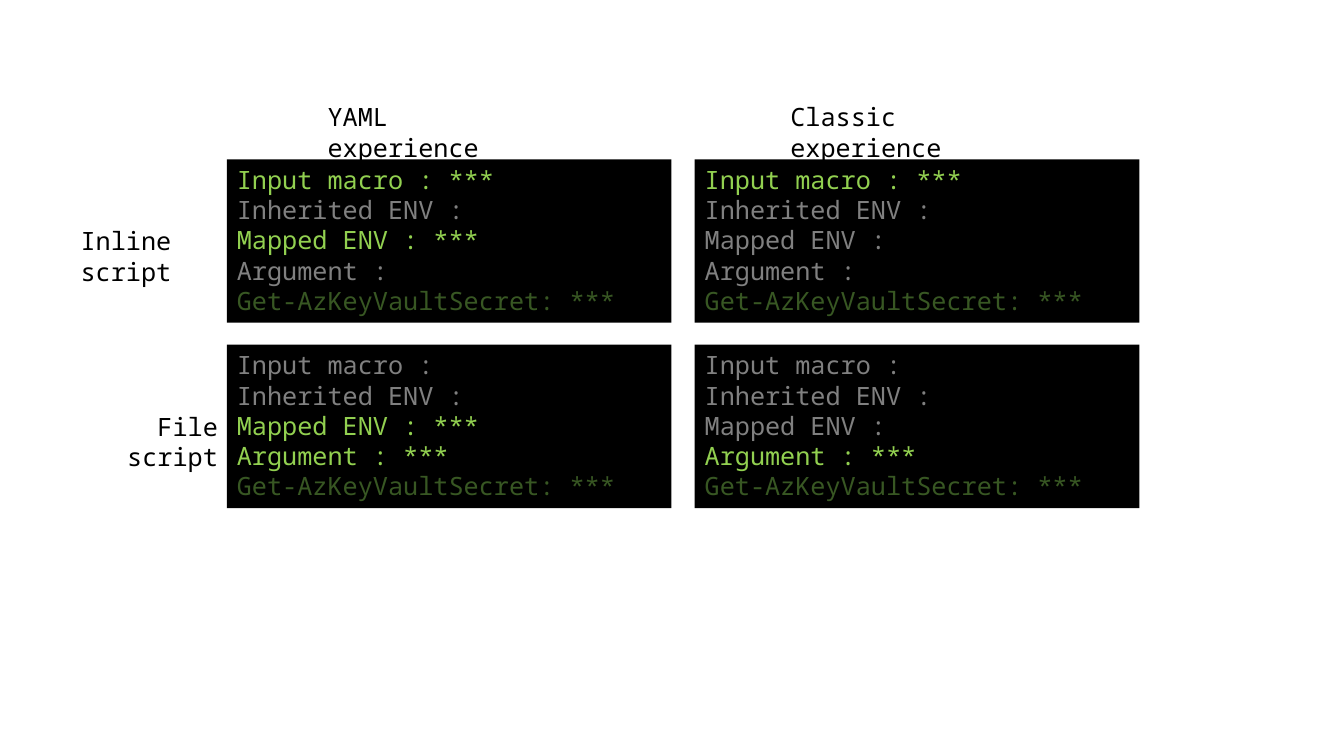
from dataclasses import dataclass

from pptx import Presentation, util as u
from pptx.dml.color import RGBColor
from pptx.enum import shapes, text


@dataclass(frozen=True)
class Theme:
    font: str = "Noto Sans Mono"
    size: int = 18
    console: str = "000000"
    label: str = "000000"
    works: str = "92D050"
    empty: str = "808080"
    vault: str = "385723"


theme = Theme()
NBSP = "\u00a0"

prs = Presentation()
prs.slide_width, prs.slide_height = u.Inches(13.33), u.Inches(7.5)
s = prs.slides.add_slide(prs.slide_layouts[6])

# Grid: two experiences across, two script kinds down
LEFT, TOP = 2.25, 1.58
CELL_W, CELL_H = 4.41, 1.62
COL_STEP, ROW_STEP = 4.64, 1.84
LABEL_H = 0.4


def write_lines(sp, lines, align=text.PP_ALIGN.LEFT):
    """Write (wording, colour) pairs, one paragraph each."""
    tf = sp.text_frame
    tf.word_wrap = True
    tf.vertical_anchor = text.MSO_ANCHOR.TOP
    for i, (wording, colour) in enumerate(lines):
        p = tf.add_paragraph() if i else tf.paragraphs[0]
        p.alignment = align
        r = p.add_run()
        r.text = wording
        r.font.name = theme.font
        r.font.size = u.Pt(theme.size)
        r.font.color.rgb = RGBColor.from_string(colour)


# Consoles: which sources yield the secret, by (column, row)
sources = ["Input macro", f"Inherited{NBSP}ENV", f"Mapped{NBSP}ENV", "Argument"]
working = {
    (0, 0): {0, 2},
    (0, 1): {2, 3},
    (1, 0): {0},
    (1, 1): {3},
}
for (col, row), found in working.items():
    sp = s.shapes.add_shape(
        shapes.MSO_SHAPE.RECTANGLE,
        u.Inches(LEFT + col * COL_STEP), u.Inches(TOP + row * ROW_STEP),
        u.Inches(CELL_W), u.Inches(CELL_H))
    sp.shadow.inherit = False
    sp.fill.solid()
    sp.fill.fore_color.rgb = RGBColor.from_string(theme.console)
    sp.line.fill.background()
    lines = [(f"{name}{NBSP}:{NBSP}***", theme.works) if i in found
             else (f"{name}{NBSP}:{NBSP}", theme.empty)
             for i, name in enumerate(sources)]
    lines.append((f"Get-AzKeyVaultSecret:{NBSP}***", theme.vault))
    write_lines(sp, lines)

# Column headings and row labels
labels = [
    ("YAML experience", 3.15, 0.96, 2.28, text.PP_ALIGN.LEFT),
    ("Classic experience", 7.74, 0.96, 2.69, text.PP_ALIGN.LEFT),
    ("Inline script", LEFT - 2, 2.19, 2, text.PP_ALIGN.CENTER),
    ("File script", LEFT - 1.72, 2.19 + ROW_STEP, 1.73, text.PP_ALIGN.RIGHT),
]
for wording, x, y, width, align in labels:
    sp = s.shapes.add_textbox(u.Inches(x), u.Inches(y),
                              u.Inches(width), u.Inches(LABEL_H))
    write_lines(sp, [(wording, theme.label)], align)

prs.save("out.pptx")
